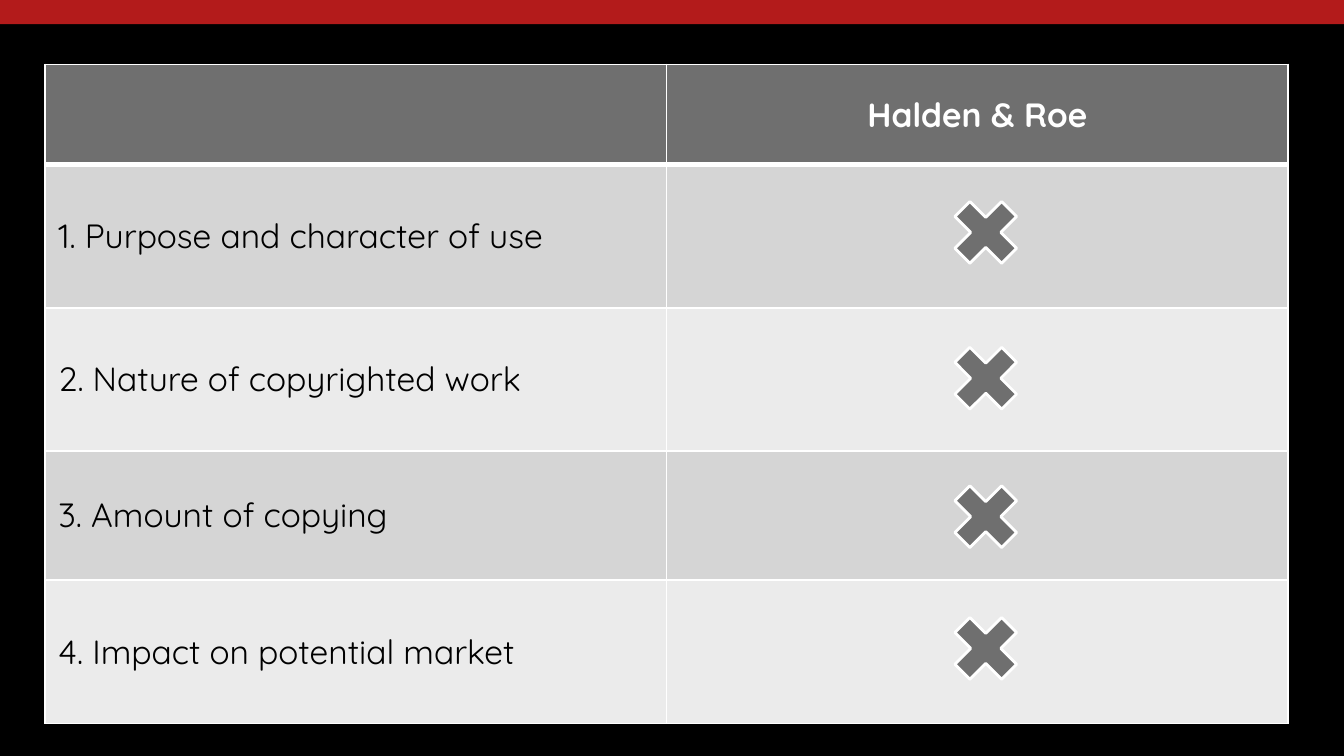
from lxml import etree
from pptx import Presentation
from pptx import util as u
from pptx.dml.color import RGBColor
from pptx.enum import shapes, text
from pptx.oxml import ns

COLORS = {
    "black": "000000", "white": "FFFFFF", "red": "B31B1B",
    "gray": "6F6F6F", "band": "D5D5D5", "light": "EBEBEB",
}
HEADINGS = ["", "Halden & Roe"]
FACTORS = [
    "1. Purpose and character of use",
    "2. Nature of copyrighted work",
    "3. Amount of copying",
    "4. Impact on potential market",
]
ROW_HEIGHTS = [7.45, 10.65, 10.65, 9.6, 10.7]
MARK_TOPS = [13.95, 24.8, 35.1, 44.9]


def color(name):
    return RGBColor.from_string(COLORS[name])


def write(frame, words, font="Quicksand", size=18, ink="black", bold=False, align=text.PP_ALIGN.LEFT):
    """Put one formatted paragraph into a text frame."""
    paragraph = frame.paragraphs[0]
    paragraph.alignment = align
    run = paragraph.add_run()
    run.text = words
    run.font.name, run.font.size, run.font.bold = font, u.Pt(size), bold
    run.font.color.rgb = color(ink)


class FactorSlide:
    """Style and slide on a square grid of 100 columns."""

    def __init__(self, deck):
        self.cell = deck.slide_width / 100
        self.slide = deck.slides.add_slide(deck.slide_layouts[6])
        fill = self.slide.background.fill
        fill.solid()
        fill.fore_color.rgb = color("black")

    def grid(self, *counts):
        return [u.Emu(round(count * self.cell)) for count in counts]

    def shape(self, kind, box, fill, line=None):
        shape = self.slide.shapes.add_shape(kind, *self.grid(*box))
        shape.shadow.inherit = False
        shape.fill.solid()
        shape.fill.fore_color.rgb = color(fill)
        if line:
            shape.line.color.rgb = color(line)
            shape.line.width = u.Pt(1.5)
        else:
            shape.line.fill.background()

    def borders(self, cell, **widths):
        properties = cell._tc.get_or_add_tcPr()
        for place, side in enumerate("LRTB"):
            line = etree.Element(ns.qn(f"a:ln{side}"), w=str(u.Pt(widths.get(side, 1))))
            solid = etree.SubElement(line, ns.qn("a:solidFill"))
            etree.SubElement(solid, ns.qn("a:srgbClr"), val=COLORS["white"])
            properties.insert(place, line)

    def table(self, left, top, width, heights, rows):
        frame = self.slide.shapes.add_table(
            len(rows), len(rows[0]), *self.grid(left, top, width, sum(heights)))
        table = frame.table
        for row, height in zip(table.rows, self.grid(*heights)):
            row.height = height
        for r, row in enumerate(rows):
            for c, words in enumerate(row):
                cell = table.cell(r, c)
                cell.vertical_anchor = text.MSO_ANCHOR.MIDDLE
                cell.fill.solid()
                cell.fill.fore_color.rgb = color("gray" if r == 0 else "band" if r % 2 else "light")
                self.borders(cell, B=3 if r == 0 else 1, T=3 if r == 1 else 1)
                if words and r == 0:
                    write(cell.text_frame, words, ink="white", bold=True, align=text.PP_ALIGN.CENTER)
                elif words:
                    write(cell.text_frame, words)


def main():
    deck = Presentation()
    deck.slide_width = u.Inches(10)
    deck.slide_height = deck.slide_width * 9 // 16
    page = FactorSlide(deck)
    page.shape(shapes.MSO_SHAPE.RECTANGLE, (0, 0, 100, 1.8), "red")
    page.table(3.35, 4.8, 92.5, ROW_HEIGHTS, [HEADINGS] + [[factor, ""] for factor in FACTORS])
    for top in MARK_TOPS:
        page.shape(shapes.MSO_SHAPE.MATH_MULTIPLY, (70, top, 6.7, 6.7), "gray", "white")
    deck.save("out.pptx")


if __name__ == "__main__":
    main()
